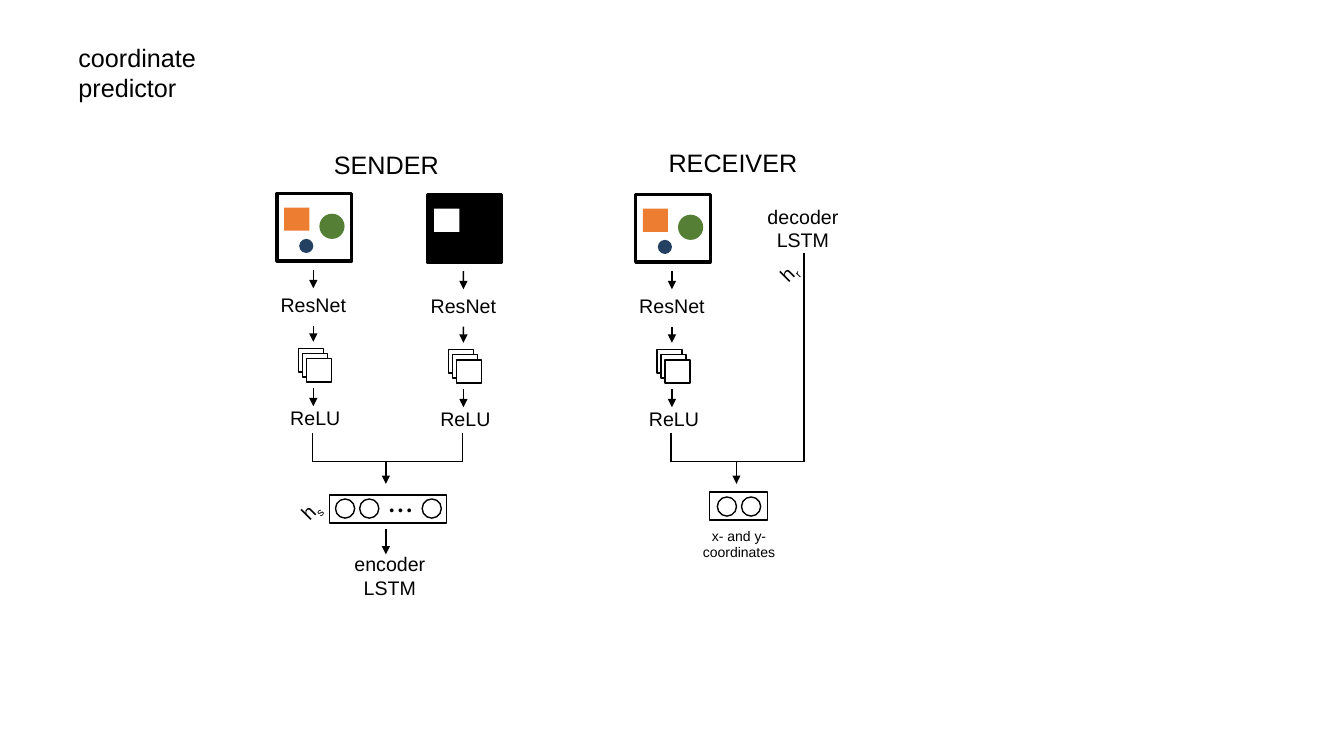
"""Build the coordinate predictor slide with its sender and receiver networks."""
from dataclasses import dataclass
from typing import Optional

from lxml import etree
from pptx import Presentation
from pptx.dml.color import RGBColor
from pptx.enum.shapes import MSO_CONNECTOR, MSO_SHAPE
from pptx.enum.text import MSO_ANCHOR, PP_ALIGN
from pptx.oxml.ns import qn
from pptx.shapes.autoshape import Shape
from pptx.shapes.connector import Connector
from pptx.slide import Slide
from pptx.util import Inches, Pt

RECT, OVAL = MSO_SHAPE.RECTANGLE, MSO_SHAPE.OVAL
STRAIGHT = MSO_CONNECTOR.STRAIGHT
LEFT, CENTER = PP_ALIGN.LEFT, PP_ALIGN.CENTER
MIDDLE, TOP = MSO_ANCHOR.MIDDLE, MSO_ANCHOR.TOP
BLACK = RGBColor(0x00, 0x00, 0x00)
WHITE = RGBColor(0xFF, 0xFF, 0xFF)
ORANGE = RGBColor(0xED, 0x7D, 0x31)
GREEN = RGBColor(0x54, 0x7F, 0x34)
NAVY = RGBColor(0x24, 0x41, 0x61)
FONT = "Arial"


@dataclass
class Label:
    text: str
    x: float
    y: float
    w: float
    h: float
    size: float = 14
    align: PP_ALIGN = CENTER
    sub: str = ""
    turn: float = 0


@dataclass
class Form:
    kind: MSO_SHAPE
    x: float
    y: float
    w: float
    h: float
    fill: Optional[RGBColor] = None
    line: float = 0


@dataclass
class Wire:
    x1: float
    y1: float
    x2: float
    y2: float
    arrow: bool = False


@dataclass
class Branch:
    x: float
    y: float
    mask: bool = False


BRANCHES = [Branch(2.54, 2.86), Branch(4.03, 2.87, True), Branch(6.1, 2.87)]
SCENE = [
    Form(RECT, 0.28, -0.8, 0.25, 0.23, ORANGE),
    Form(OVAL, 0.63, -0.74, 0.25, 0.25, GREEN),
    Form(OVAL, 0.43, -0.49, 0.14, 0.14, NAVY),
]
MASK = [Form(RECT, 0.28, -0.8, 0.25, 0.23, WHITE)]
LABELS = [
    Label("coordinate predictor", 0.68, 0.37, 2.35, 0.66, 18, LEFT),
    Label("SENDER", 2.58, 1.43, 2.51, 0.44, 18),
    Label("RECEIVER", 5.92, 1.41, 2.71, 0.44, 18),
    Label("decoder LSTM", 7.37, 1.98, 1.2, 0.63),
    Label("encoder LSTM", 3.27, 5.43, 1.2, 0.63),
    Label("x- and y-coordinates", 6.73, 5.18, 1.21, 0.48, 10),
    Label("h", 2.89, 4.82, 0.55, 0.39, align=LEFT, sub="s", turn=315),
    Label("h", 7.64, 2.45, 0.56, 0.39, align=LEFT, sub="r", turn=315),
]
DOTS = Label("• • •", 3.57, 4.93, 0.81, 0.22, 10)
FORMS = [
    Form(RECT, 3.27, 4.91, 1.16, 0.28, line=1),
    Form(RECT, 7.04, 4.88, 0.58, 0.28, line=1),
    *(Form(OVAL, x, y, 0.19, 0.19, line=1) for x, y in
      [(3.33, 4.95), (3.57, 4.95), (4.19, 4.95), (7.12, 4.93), (7.36, 4.93)]),
]
WIRES = [
    Wire(4.6, 4.58, 3.1, 4.58),
    Wire(7.98, 4.58, 6.66, 4.58),
    Wire(7.98, 2.51, 7.98, 4.58),
    Wire(3.83, 4.58, 3.83, 4.8, True),
    Wire(3.83, 5.25, 3.83, 5.5, True),
    Wire(7.31, 4.58, 7.31, 4.8, True),
]


def write(slide: Slide, item: Label, anchor: MSO_ANCHOR = TOP) -> Shape:
    """Add one text label."""
    box = slide.shapes.add_textbox(
        Inches(item.x), Inches(item.y), Inches(item.w), Inches(item.h))
    box.rotation = item.turn
    frame = box.text_frame
    frame.word_wrap = True
    frame.vertical_anchor = anchor
    para = frame.paragraphs[0]
    para.alignment = item.align
    para.font.name, para.font.size = FONT, Pt(item.size)
    para.font.color.rgb = BLACK
    para.add_run().text = item.text
    if item.sub:
        run = para.add_run()
        run.text = item.sub
        run._r.get_or_add_rPr().set("baseline", "-25000")
    return box


def draw(slide: Slide, item: Form, dx: float = 0, dy: float = 0) -> None:
    """Add one shape, moved by an offset."""
    shape = slide.shapes.add_shape(
        item.kind, Inches(item.x + dx), Inches(item.y + dy),
        Inches(item.w), Inches(item.h))
    shape.shadow.inherit = False
    if item.fill is None:
        shape.fill.background()
    else:
        shape.fill.solid()
        shape.fill.fore_color.rgb = item.fill
    if item.line:
        shape.line.color.rgb = BLACK
        shape.line.width = Pt(item.line)
    else:
        shape.line.fill.background()


def link(slide: Slide, item: Wire) -> Connector:
    """Add one line or arrow."""
    wire = slide.shapes.add_connector(
        STRAIGHT, Inches(item.x1), Inches(item.y1),
        Inches(item.x2), Inches(item.y2))
    wire.line.color.rgb = BLACK
    wire.line.width = Pt(1)
    if item.arrow:
        tail = etree.SubElement(wire.line._get_or_add_ln(), qn("a:tailEnd"))
        tail.set("type", "triangle")
    etree.SubElement(wire._element.spPr, qn("a:effectLst"))
    return wire


def grow(slide: Slide, item: Branch) -> None:
    """Add one image branch from its frame down to ReLU."""
    x, y = item.x, item.y
    mid = x + 0.57
    fill = BLACK if item.mask else None
    draw(slide, Form(RECT, 0.21, -0.94, 0.74, 0.67, fill, 2.25), x, y)
    for part in MASK if item.mask else SCENE:
        draw(slide, part, x, y)
    name = write(slide, Label("ResNet", x, y, 1.14, 0.37))
    link(slide, Wire(mid, y - 0.18, mid, y, True)).end_connect(name, 0)
    link(slide, Wire(mid, y + 0.37, mid, y + 0.53, True)).begin_connect(name, 2)
    for step in range(3):
        draw(slide, Form(RECT, 0.42 + 0.04 * step, 0.6 + 0.05 * step,
                         0.25, 0.23, WHITE, 1), x, y)
    link(slide, Wire(mid, y + 0.99, mid, y + 1.17, True))
    write(slide, Label("ReLU", x + 0.02, y + 1.12, 1.14, 0.37))
    link(slide, Wire(x + 0.56, 4.3, x + 0.56, 4.58))


def main() -> None:
    """Draw the slide and save it."""
    deck = Presentation()
    deck.slide_width, deck.slide_height = Inches(13.34), Inches(7.5)
    slide = deck.slides.add_slide(deck.slide_layouts[6])
    for branch in BRANCHES:
        grow(slide, branch)
    for form in FORMS:
        draw(slide, form)
    for wire in WIRES:
        link(slide, wire)
    for label in LABELS:
        write(slide, label)
    dots = write(slide, DOTS, MIDDLE)
    dots.text_frame.paragraphs[0].line_spacing = Pt(14.1)
    deck.save("out.pptx")


if __name__ == "__main__":
    main()
